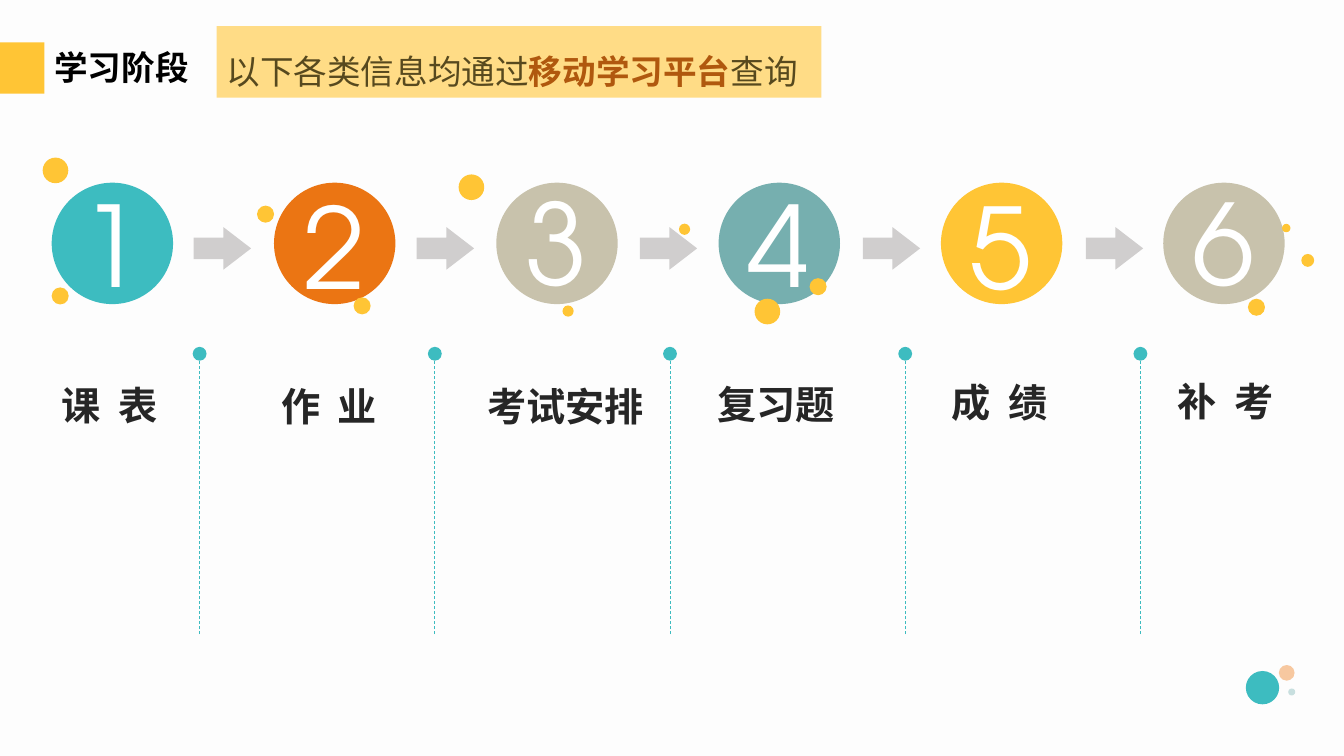
from dataclasses import dataclass

from lxml import etree
from pptx import Presentation
from pptx import util as u
from pptx.dml.color import RGBColor
from pptx.enum import dml, shapes, text
from pptx.oxml.ns import qn


@dataclass(frozen=True)
class Theme:
    """Colours, fonts and type sizes of the slide."""
    back: str = "FDFDFD"
    teal: str = "3DBCC0"
    orange: str = "EB7513"
    sand: str = "C8C2AC"
    sage: str = "76AFAF"
    yellow: str = "FFC535"
    pale_yellow: str = "FFDC86"
    peach: str = "F7C8A0"
    mist: str = "C8DFDF"
    grey: str = "D0CECE"
    black: str = "000000"
    ink: str = "262626"
    brown: str = "57491E"
    rust: str = "B0580E"
    white: str = "FFFFFF"
    body_font: str = "Noto Sans CJK SC"
    digit_font: str = "TeX Gyre Adventor"
    title_size: int = 24
    label_size: int = 28
    digit_size: int = 80


T = Theme()
CIRCLE_PITCH = 158.8
ARROW_PITCH = 159.3
DIVIDER_PITCH = 168

CIRCLES = [T.teal, T.orange, T.sand, T.sage, T.yellow, T.sand]
DIGIT_TOPS = [121.7, 123.1, 120.2]

LABELS = [
    ("课 表", 36.7, 268.6),
    ("作 业", 193.7, 269.3),
    ("考试安排", 341, 269.3),
    ("复习题", 505.5, 267.8),
    ("成 绩", 672.6, 266.4),
    ("补 考", 833.9, 265.7),
]

DOTS = [
    (30.5, 112.6, 18.3), (36.9, 205.3, 12.2), (183.6, 146.9, 12.2),
    (327.6, 124.6, 18.3), (401.8, 218.2, 8), (252.6, 212.4, 12.2),
    (539, 213.4, 18.3), (485, 159.8, 8), (578.3, 198.7, 12.2),
    (929.5, 181.4, 9.2), (891.4, 213.4, 12.2), (915.8, 159.9, 6),
]

CORNER_DOTS = [
    (889.9, 479.3, 23.8, T.teal),
    (913.5, 475, 11.2, T.peach),
    (920.2, 491.8, 5, T.mist),
]


def apply(obj, values):
    """Set each named attribute of an object."""
    for name, value in values.items():
        setattr(obj, name, value)


def add_block(s, kind, left, top, width, height, colour):
    """Add a plain filled shape without outline or shadow."""
    sp = s.shapes.add_shape(kind, u.Pt(left), u.Pt(top), u.Pt(width), u.Pt(height))
    sp.shadow.inherit = False
    sp.fill.solid()
    sp.fill.fore_color.rgb = RGBColor.from_string(colour)
    sp.line.fill.background()
    return sp


def add_dot(s, left, top, size, colour=T.yellow):
    """Add a round dot."""
    return add_block(s, shapes.MSO_SHAPE.OVAL, left, top, size, size, colour)


def add_run(p, words, colour, size, font=T.body_font, bold=False):
    """Add a formatted run, with the font set for all scripts."""
    r = p.add_run()
    r.text = words
    apply(r.font, {"name": font, "size": u.Pt(size), "bold": bold})
    r.font.color.rgb = RGBColor.from_string(colour)
    etree.SubElement(r.font._element, qn("a:ea")).set("typeface", font)
    return r


def add_text(s, left, top, width, height, words, **style):
    """Add a one-line text box and return its paragraph and run."""
    box = s.shapes.add_textbox(u.Pt(left), u.Pt(top), u.Pt(width), u.Pt(height))
    tf = box.text_frame
    apply(tf, {"word_wrap": False, "auto_size": text.MSO_AUTO_SIZE.SHAPE_TO_FIT_TEXT})
    p = tf.paragraphs[0]
    return p, add_run(p, words, **style)


def add_digit(s, index):
    """Add the large number over a circle."""
    p, _ = add_text(s, 50.3 + index * CIRCLE_PITCH, DIGIT_TOPS[index % 3], 59, 104.4,
                    str(index + 1), colour=T.white, size=T.digit_size, font=T.digit_font)
    p.alignment = text.PP_ALIGN.CENTER


def add_label(s, words, left, top):
    """Add a stage name, letterspaced when it has two separate characters."""
    _, r = add_text(s, left, top, 126, 41, words,
                    colour=T.ink, size=T.label_size, bold=True)
    if " " in words:
        r.font._element.set("spc", "315")


def add_divider(s, x):
    """Add a dashed upright line with a round head at the top."""
    c = s.shapes.add_connector(shapes.MSO_CONNECTOR.STRAIGHT,
                               u.Pt(x), u.Pt(452.9), u.Pt(x), u.Pt(252.7))
    apply(c.line, {"width": u.Pt(0.5), "dash_style": dml.MSO_LINE.DASH})
    c.line.color.rgb = RGBColor.from_string(T.teal)
    tail = etree.SubElement(c.line._get_or_add_ln(), qn("a:tailEnd"))
    for name, value in {"type": "oval", "w": "lg", "len": "lg"}.items():
        tail.set(name, value)
    etree.SubElement(c._element.spPr, qn("a:effectLst"))


def add_arrow(s, left):
    """Add a grey arrow between two circles."""
    sp = add_block(s, shapes.MSO_SHAPE.RIGHT_ARROW, left, 162.2, 41, 30.5, T.grey)
    sp.adjustments[1] = 0.65


def add_banner(s):
    """Add the highlighted sentence beside the title."""
    sp = add_block(s, shapes.MSO_SHAPE.RECTANGLE, 154.8, 18.7, 432, 51.1, T.pale_yellow)
    tf = sp.text_frame
    apply(tf, {"word_wrap": True, "vertical_anchor": text.MSO_ANCHOR.TOP})
    p = tf.paragraphs[0]
    apply(p, {"alignment": text.PP_ALIGN.LEFT, "line_spacing": 1.5})
    for words, colour, bold in [("以下各类信息均通过", T.brown, False),
                                ("移动学习平台", T.rust, True),
                                ("查询", T.brown, False)]:
        add_run(p, words, colour, T.title_size, bold=bold)


def main():
    """Build the study stages slide."""
    prs = Presentation()
    apply(prs, {"slide_width": u.Pt(960), "slide_height": u.Pt(540)})
    s = prs.slides.add_slide(prs.slide_layouts[6])
    s.background.fill.solid()
    s.background.fill.fore_color.rgb = RGBColor.from_string(T.back)

    for dot in CORNER_DOTS:
        add_dot(s, *dot)
    add_block(s, shapes.MSO_SHAPE.RECTANGLE, 0, 30.2, 31.7, 36.7, T.yellow)
    add_text(s, 31.7, 30.2, 111.6, 36, "学习阶段",
             colour=T.black, size=T.title_size, bold=True)
    add_banner(s)

    for i, colour in enumerate(CIRCLES):
        add_dot(s, 36.9 + i * CIRCLE_PITCH, 130.5, 86.7, colour)
    for i in range(len(CIRCLES) - 1):
        add_arrow(s, 138.4 + i * ARROW_PITCH)
        add_divider(s, 142.6 + i * DIVIDER_PITCH)
    for dot in DOTS:
        add_dot(s, *dot)
    for i in range(len(CIRCLES)):
        add_digit(s, i)
    for label in LABELS:
        add_label(s, *label)
    prs.save("out.pptx")


if __name__ == "__main__":
    main()
